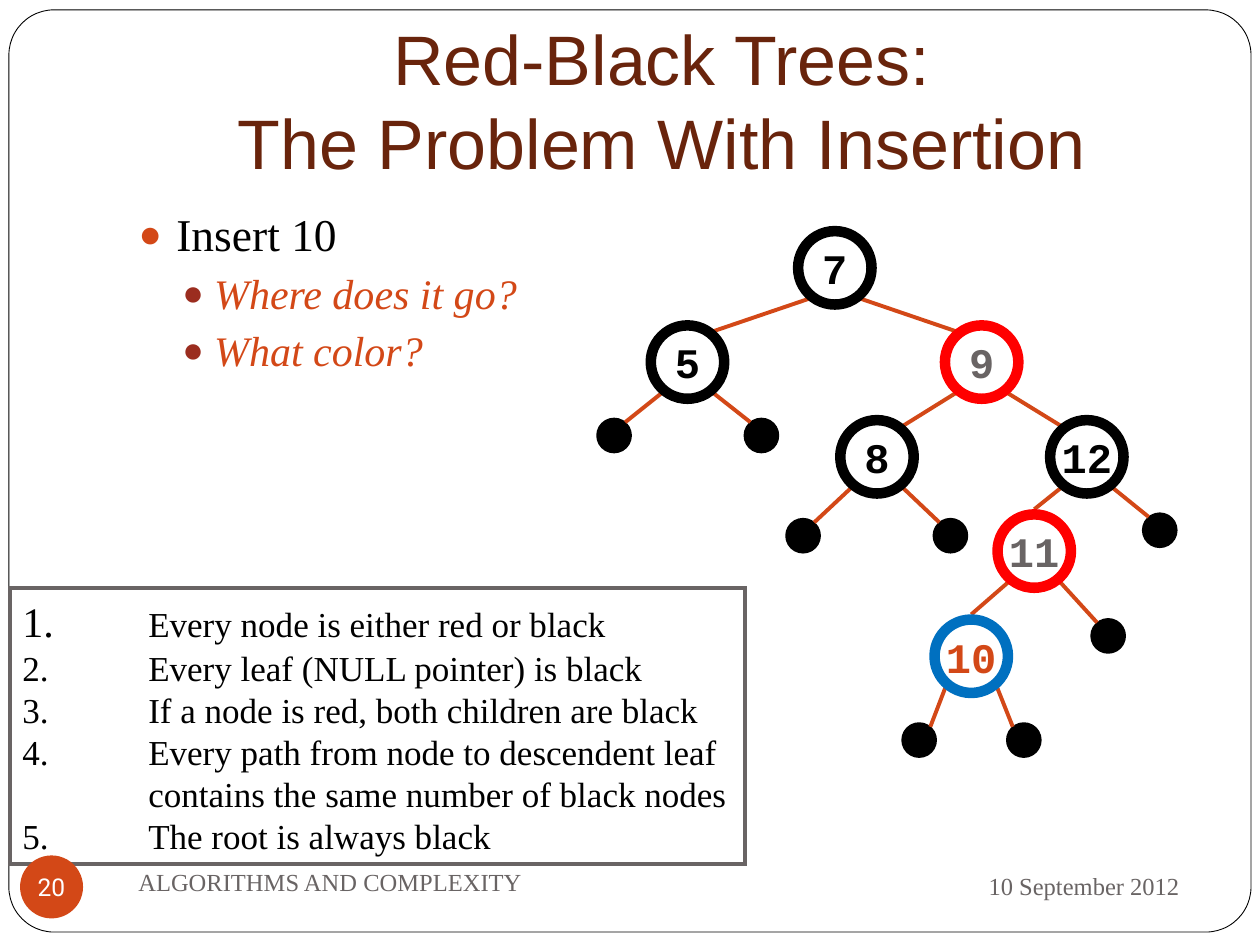
from lxml import etree
from pptx import Presentation
from pptx.dml.color import RGBColor
from pptx.enum.shapes import MSO_CONNECTOR, MSO_SHAPE
from pptx.enum.text import MSO_ANCHOR, MSO_AUTO_SIZE, PP_ALIGN
from pptx.oxml.ns import qn
from pptx.util import Cm, Pt

ROUND = MSO_SHAPE.ROUNDED_RECTANGLE
RECT = MSO_SHAPE.RECTANGLE
OVAL = MSO_SHAPE.OVAL
STRAIGHT = MSO_CONNECTOR.STRAIGHT
MIDDLE = MSO_ANCHOR.MIDDLE
BOTTOM = MSO_ANCHOR.BOTTOM
FIXED = MSO_AUTO_SIZE.NONE
LEFT, CENTER, RIGHT = PP_ALIGN.LEFT, PP_ALIGN.CENTER, PP_ALIGN.RIGHT

BLACK = RGBColor(0, 0, 0)
WHITE = RGBColor(255, 255, 255)
RED = RGBColor(255, 0, 0)
BLUE = RGBColor(0x00, 0x70, 0xC0)
GRAY = RGBColor(0x69, 0x64, 0x64)
BROWN = RGBColor(0x69, 0x24, 0x0C)
ORANGE = RGBColor(0xD3, 0x48, 0x17)
MAROON = RGBColor(0x9B, 0x2D, 0x1F)
SERIF = "Times New Roman"
MONO = "Courier New"

NODE, LEAF = 1.48, 0.64
NODES = {
    "7": (16.83, 5.4, BLACK, BLACK),
    "5": (13.86, 7.3, BLACK, BLACK),
    "9": (19.79, 7.3, RED, GRAY),
    "8": (17.68, 9.21, BLACK, BLACK),
    "12": (21.91, 9.21, BLACK, BLACK),
    "11": (20.85, 11.11, RED, GRAY),
    "10": (19.58, 13.23, BLUE, ORANGE),
}
EDGES = [("7", "5"), ("7", "9"), ("9", "8"), ("9", "12"), ("12", "11"), ("11", "10")]
LEAVES = [
    ("5", 12.38, 8.78), ("5", 15.35, 8.78),
    ("8", 16.19, 10.8), ("8", 19.16, 10.8),
    ("12", 23.38, 10.69), ("11", 22.34, 12.82),
    ("10", 18.53, 14.92), ("10", 20.64, 14.92),
]
TOP_JOINED = ("11", "10")

POINTS = [
    ("Insert 10", 0, 26, BLACK, ORANGE),
    ("Where does it go?", 1, 24, ORANGE, MAROON),
    ("What color?", 1, 24, ORANGE, MAROON),
]
RULES = [
    [("1.\t", 24), ("Every node is either red or black", 20)],
    [("2.\tEvery leaf (NULL pointer) is black", 20)],
    [("3.\tIf a node is red, both children are black", 20)],
    [("4. \tEvery path from node to descendent leaf", 20), None,
     ("\tcontains the same number of black nodes", 20)],
    [("5. \tThe root is always black", 20)],
]


def place(shape, left, top, width, height):
    shape.left, shape.top = Cm(left), Cm(top)
    shape.width, shape.height = Cm(width), Cm(height)


def add_run(para, text, size, color, font=SERIF, bold=False, slant=False):
    run = para.add_run()
    run.text = text
    run.font.size, run.font.name = Pt(size), font
    run.font.bold, run.font.italic = bold, slant
    run.font.color.rgb = color


def add_form(slide, kind, box, fill, line, width):
    form = slide.shapes.add_shape(kind, *map(Cm, box))
    form.shadow.inherit = False
    if fill is None:
        form.fill.background()
    else:
        form.fill.solid()
        form.fill.fore_color.rgb = fill
    if line is None:
        form.line.fill.background()
    else:
        form.line.color.rgb = line
        form.line.width = Pt(width)
    return form


def add_disc(slide, x, y, size, fill, line, width):
    box = (x - size / 2, y - size / 2, size, size)
    return add_form(slide, OVAL, box, fill, line, width)


def add_label(disc, text, size, color, font, bold):
    frame = disc.text_frame
    frame.word_wrap = False
    frame.vertical_anchor = MIDDLE
    para = frame.paragraphs[0]
    para.alignment = CENTER
    add_run(para, text, size, color, font, bold)


def add_edge(slide, name, x, y, size, top=False):
    px, py = NODES[name][:2]
    side = 1 if x > px else -1
    start = (px + side * 0.35 * NODE, py + 0.42 * NODE)
    end = (x, y - 0.57 * size) if top else (x - side * 0.35 * size, y - 0.42 * size)
    edge = slide.shapes.add_connector(STRAIGHT, *map(Cm, start + end))
    edge.line.color.rgb = ORANGE
    edge.line.width = Pt(2.25)
    etree.SubElement(edge._element.spPr, qn("a:effectLst"))


def add_tree(slide):
    for name, child in EDGES:
        x, y = NODES[child][:2]
        add_edge(slide, name, x, y, NODE, child in TOP_JOINED)
    for name, x, y in LEAVES:
        add_disc(slide, x, y, LEAF, BLACK, BLACK, 2.25)
        add_edge(slide, name, x, y, LEAF)
    for name, (x, y, ring, ink) in NODES.items():
        disc = add_disc(slide, x, y, NODE, WHITE, ring, 6)
        add_label(disc, name, 24, ink, MONO, True)


def add_bullet(para, level, color):
    props = para._p.get_or_add_pPr()
    props.set("marL", str(Cm(0.76 * (level + 1))))
    props.set("indent", str(-Cm(0.64 if level else 0.76)))
    tint = etree.SubElement(props, qn("a:buClr"))
    etree.SubElement(tint, qn("a:srgbClr"), val=str(color))
    etree.SubElement(props, qn("a:buSzPct"), val="85000")
    etree.SubElement(props, qn("a:buFont"), typeface="Arial")
    etree.SubElement(props, qn("a:buChar"), char="●")


def add_tab(para):
    props = para._p.get_or_add_pPr()
    tabs = etree.SubElement(props, qn("a:tabLst"))
    etree.SubElement(tabs, qn("a:tab"), pos=str(Cm(2.54)), algn="l")


def fill_title(title):
    place(title, 2.54, 0.76, 21.59, 3.18)
    frame = title.text_frame
    frame.auto_size = FIXED
    frame.vertical_anchor = BOTTOM
    frame.margin_bottom = Cm(0.25)
    para = frame.paragraphs[0]
    para.alignment = CENTER
    add_run(para, "Red-Black Trees:", 40, BROWN, "Arial")
    para.add_line_break()
    add_run(para, "The Problem With Insertion", 40, BROWN, "Arial")


def fill_body(body):
    place(body, 2.54, 4.01, 21.59, 12.7)
    frame = body.text_frame
    frame.auto_size = FIXED
    frame.margin_top = Cm(0.15)
    for i, (text, level, size, color, dot) in enumerate(POINTS):
        para = frame.add_paragraph() if i else frame.paragraphs[0]
        add_bullet(para, level, dot)
        para.level = level
        para.space_before = Pt(3.8 if i else 0)
        add_run(para, text, size, color, slant=level > 0)


def add_rules(slide):
    box = add_form(slide, RECT, (0.2, 11.86, 14.82, 5.56), None, GRAY, 2.25)
    etree.SubElement(box.line._get_or_add_ln(), qn("a:miter"), lim="800000")
    frame = box.text_frame
    frame.word_wrap = True
    frame.vertical_anchor = MIDDLE
    for i, parts in enumerate(RULES):
        para = frame.add_paragraph() if i else frame.paragraphs[0]
        add_tab(para)
        para.alignment = LEFT
        for part in parts:
            if part is None:
                para.add_line_break()
            else:
                add_run(para, *part, BLACK)


def add_note(slide, box, text, align):
    frame = slide.shapes.add_textbox(*map(Cm, box)).text_frame
    frame.word_wrap = True
    frame.vertical_anchor = MIDDLE
    para = frame.paragraphs[0]
    para.alignment = align
    add_run(para, text, 14, GRAY)


def main():
    deck = Presentation()
    deck.slide_width, deck.slide_height = Cm(25.4), Cm(19.05)
    slide = deck.slides.add_slide(deck.slide_layouts[1])
    border = add_form(slide, ROUND, (0.18, 0.2, 25.04, 18.59), WHITE, BLACK, 0.5)
    border.adjustments[0] = 0.049
    slide.shapes._spTree.insert(2, border._element)
    fill_title(slide.shapes.title)
    fill_body(slide.placeholders[1])
    add_rules(slide)
    add_tree(slide)
    add_note(slide, (17.15, 17.2, 6.88, 1.32), "10 September 2012", RIGHT)
    badge = add_disc(slide, 1.04, 17.88, 1.27, ORANGE, None, 0)
    add_label(badge, "20", 14, WHITE, "Roboto", False)
    add_note(slide, (2.54, 17.13, 11, 1.27), "ALGORITHMS AND COMPLEXITY", LEFT)
    deck.save("out.pptx")


if __name__ == "__main__":
    main()
